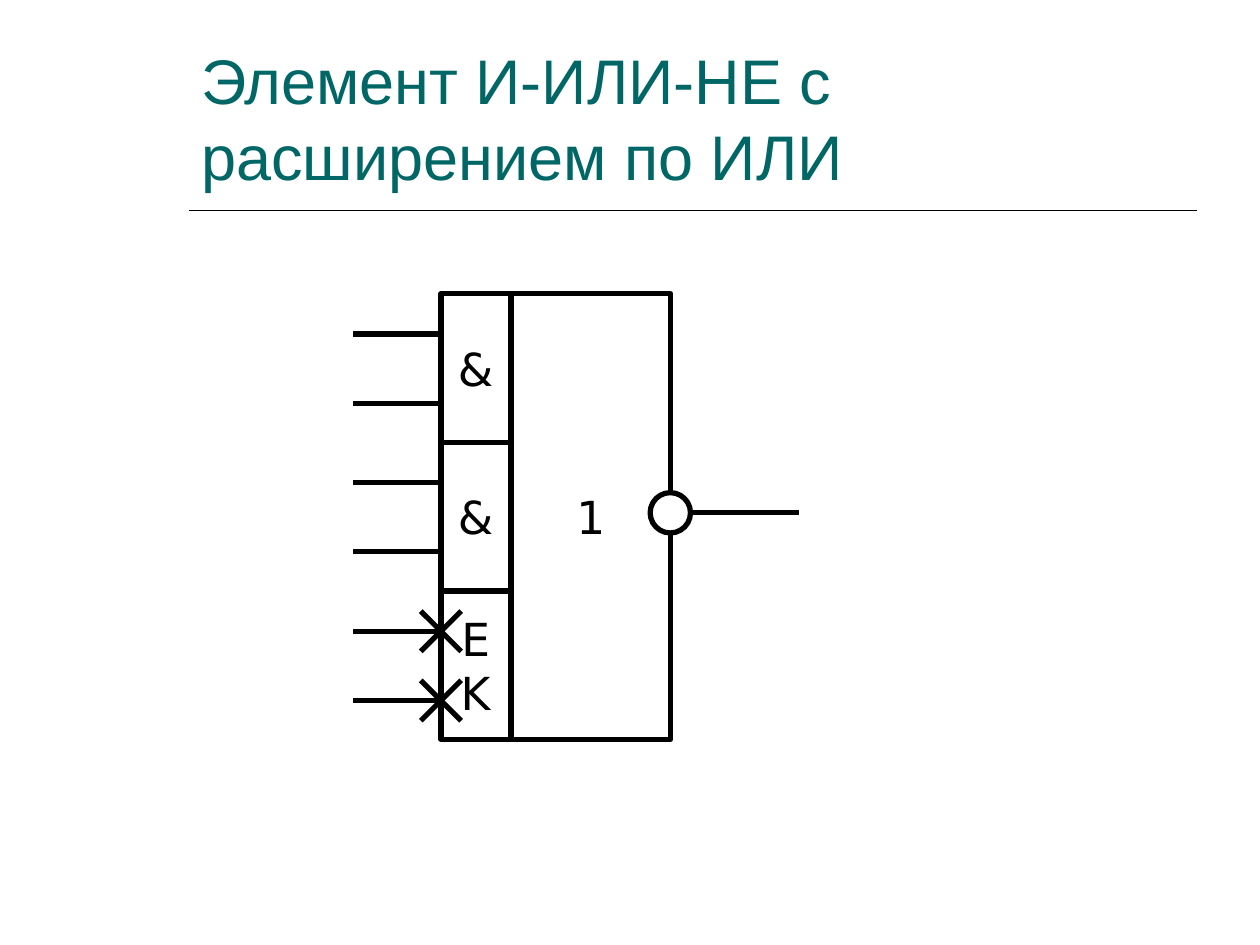
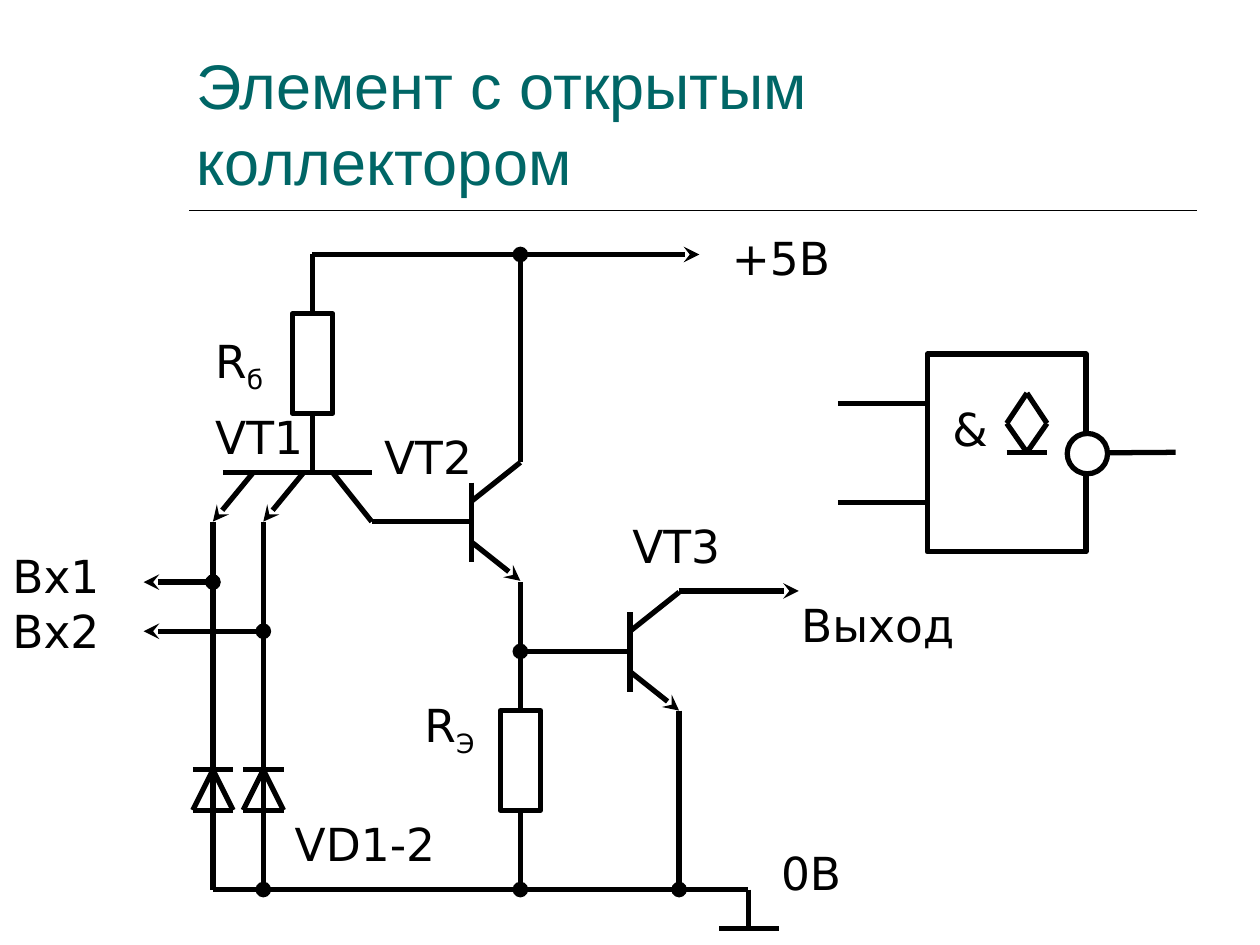
from lxml import etree
from pptx import Presentation
from pptx.dml.color import RGBColor
from pptx.enum import shapes, text
from pptx.oxml import ns
from pptx.util import Inches, Pt

TEAL = RGBColor(0x00, 0x66, 0x66)
BLACK = RGBColor(0x00, 0x00, 0x00)
WHITE = RGBColor(0xFF, 0xFF, 0xFF)
TITLE_FONT = "Arial"
LABEL_FONT = "DejaVu Sans"
LABEL_SIZE = 26
RECT = shapes.MSO_SHAPE.RECTANGLE
OVAL = shapes.MSO_SHAPE.OVAL
CENTER = text.PP_ALIGN.CENTER
TOP, LEFT, BOTTOM, RIGHT = range(4)


def add_run(paragraph, words, font=LABEL_FONT, size=LABEL_SIZE, color=BLACK):
    run = paragraph.add_run()
    run.text = words
    run.font.name = font
    run.font.size = Pt(size)
    run.font.color.rgb = color
    return run


def wire(slide, start, end, head=None, tail=None, width=3):
    """Draw a line; each end is an (x, y) point or a (shape, side) joint."""
    points = [p if isinstance(p[0], (int, float)) else (0, 0) for p in (start, end)]
    line = slide.shapes.add_connector(
        shapes.MSO_CONNECTOR.STRAIGHT, *(Inches(v) for p in points for v in p))
    for joint, connect in ((start, line.begin_connect), (end, line.end_connect)):
        if not isinstance(joint[0], (int, float)):
            connect(*joint)
    line.line.color.rgb = BLACK
    line.line.width = Pt(width)
    outline = line.line._get_or_add_ln()
    for tag, kind in (("a:headEnd", head), ("a:tailEnd", tail)):
        if kind:
            etree.SubElement(outline, ns.qn(tag)).set("type", kind)
    etree.SubElement(line._element.spPr, ns.qn("a:effectLst"))
    return line


def block(slide, x, y, width, height, lines=(), kind=RECT):
    shape = slide.shapes.add_shape(
        kind, Inches(x), Inches(y), Inches(width), Inches(height))
    shape.shadow.inherit = False
    shape.fill.solid()
    shape.fill.fore_color.rgb = WHITE
    shape.line.color.rgb = BLACK
    shape.line.width = Pt(3)
    frame = shape.text_frame
    frame.word_wrap = False
    frame.vertical_anchor = text.MSO_ANCHOR.MIDDLE
    for i, words in enumerate(lines):
        paragraph = frame.add_paragraph() if i else frame.paragraphs[0]
        paragraph.alignment = CENTER
        add_run(paragraph, words)
    return shape


def inverter(slide, x, y):
    """Draw the inversion circle around a point."""
    block(slide, x - 0.16, y - 0.16, 0.32, 0.32, kind=OVAL)


def label(slide, x, y, width, *lines, height=0.54, subscript=None):
    box = slide.shapes.add_textbox(Inches(x), Inches(y), Inches(width), Inches(height))
    frame = box.text_frame
    frame.word_wrap = True
    for i, words in enumerate(lines):
        paragraph = frame.add_paragraph() if i else frame.paragraphs[0]
        add_run(paragraph, words)
    if subscript:
        run = add_run(frame.paragraphs[0], subscript)
        run.font._element.set("baseline", "-25000")


def titled_slide(deck, title, x, height):
    slide = deck.slides.add_slide(deck.slide_layouts[6])
    wire(slide, (1.5, 1.67), (9.5, 1.67), width=1)
    box = slide.shapes.add_textbox(Inches(x), Inches(0.05), Inches(8), Inches(height))
    box.text_frame.word_wrap = True
    box.text_frame.vertical_anchor = text.MSO_ANCHOR.BOTTOM
    add_run(box.text_frame.paragraphs[0], title, TITLE_FONT, 36, TEAL)
    return slide


def cross(slide, x, y):
    """Mark an expansion input."""
    for rise in (0.16, -0.16):
        wire(slide, (x - 0.16, y + rise), (x + 0.16, y - rise))


def transistor(slide, x, y):
    """Draw an n-p-n transistor whose base meets its bar at (x, y)."""
    wire(slide, (x, y - 0.31), (x, y + 0.32))
    wire(slide, (x + 0.39, y + 0.47), (x, y + 0.16), head="stealth")
    wire(slide, (x, y - 0.16), (x + 0.39, y - 0.47))


def polyline(slide, *points):
    for start, end in zip(points, points[1:]):
        wire(slide, start, end)


def diode(slide, x):
    cathode, anode = 6.11, 6.43
    wire(slide, (x - 0.16, cathode), (x + 0.16, cathode))
    polyline(slide, (x, cathode), (x + 0.16, anode), (x - 0.16, anode), (x, cathode))


def expandable_gate(slide):
    left, top, cell_width, cell_height = 3.5, 2.33, 0.55, 1.18
    block(slide, 4.06, top, 1.26, 3 * cell_height, ["1"])
    wire(slide, (5.32, 4.07), (6.34, 4.07))
    inverter(slide, 5.32, 4.07)
    for row, lines in enumerate((["&"], ["&"], ["E", "K"])):
        y = top + row * cell_height
        block(slide, left, y, cell_width, cell_height, lines)
        for input_y in (y + 0.32, y + 0.87):
            wire(slide, (left - 0.7, input_y), (left, input_y))
            if lines == ["E", "K"]:
                cross(slide, left, input_y)


def input_stage(slide, supply_y, ground_y):
    """Draw VT1 with its base resistor, inputs and clamping diodes."""
    base_x, bar_y, emitter_y = 2.48, 3.75, 4.14
    resistor = block(slide, 2.32, 2.49, 0.32, 0.79)
    wire(slide, (base_x, supply_y), (resistor, TOP))
    wire(slide, (resistor, BOTTOM), (base_x, bar_y))
    wire(slide, (1.77, bar_y), (2.95, bar_y))
    polyline(slide, (2.64, bar_y), (2.95, emitter_y), (3.74, emitter_y))
    for x, input_y, ground_dot in ((1.69, 4.62, None), (2.09, 5.01, "oval")):
        wire(slide, (x, emitter_y), (x + 0.32, bar_y), head="stealth")
        wire(slide, (x, emitter_y), (x, input_y))
        wire(slide, (x, input_y), (1.14, input_y), tail="stealth")
        wire(slide, (x, ground_y), (x, input_y), head=ground_dot, tail="oval")
        diode(slide, x)


def output_stage(slide, supply_y, ground_y):
    """Draw VT2, its emitter resistor and the open-collector VT3."""
    vt2_x, vt3_x = 4.13, 5.39
    transistor(slide, 3.74, 4.14)
    transistor(slide, 5, 5.17)
    wire(slide, (vt2_x, 3.67), (vt2_x, supply_y), tail="oval")
    resistor = block(slide, 3.97, 5.64, 0.32, 0.79)
    wire(slide, (vt2_x, 4.62), (resistor, TOP))
    wire(slide, (resistor, BOTTOM), (vt2_x, ground_y), tail="oval")
    wire(slide, (5, 5.17), (vt2_x, 5.17), tail="oval")
    wire(slide, (6.34, 4.69), (vt3_x, 4.69), head="stealth")
    wire(slide, (vt3_x, 5.64), (vt3_x, ground_y), tail="oval")


def open_collector_symbol(slide):
    gate = block(slide, 7.36, 2.81, 1.26, 1.57, ["&"])
    frame = gate.text_frame
    frame.vertical_anchor = text.MSO_ANCHOR.TOP
    frame.margin_left, frame.margin_top = Inches(0.2), Inches(0.37)
    frame.paragraphs[0].alignment = text.PP_ALIGN.LEFT
    wire(slide, (gate, RIGHT), (9.33, 3.59))
    inverter(slide, 8.63, 3.6)
    for input_y in (3.2, 3.99):
        wire(slide, (6.65, input_y), (7.36, input_y))
    polyline(slide, (8.15, 3.12), (8.31, 3.36), (8.15, 3.59), (7.99, 3.36), (8.15, 3.12))
    wire(slide, (7.99, 3.59), (8.31, 3.59))


def open_collector_circuit(slide):
    supply_y, ground_y = 2.02, 7.06
    wire(slide, (5.55, supply_y), (2.48, supply_y), head="stealth")
    polyline(slide, (1.69, ground_y), (5.94, ground_y), (5.94, 7.37))
    wire(slide, (5.71, 7.37), (6.18, 7.37))
    input_stage(slide, supply_y, ground_y)
    output_stage(slide, supply_y, ground_y)
    label(slide, 0, 4.3, 1.02, "Вх1", "Вх2", height=0.97)
    for x, y, width, words in (
            (5.71, 1.78, 1.02, "+5В"), (1.61, 3.2, 1.02, "VT1"),
            (2.95, 3.36, 1.02, "VT2"), (4.92, 4.06, 1.02, "VT3"),
            (2.24, 6.43, 1.81, "VD1-2"), (6.26, 4.69, 1.46, "Выход"),
            (6.1, 6.66, 1.02, "0В")):
        label(slide, x, y, width, words)
    for x, y, index in ((1.61, 2.59, "б"), (3.27, 5.48, "Э")):
        label(slide, x, y, 0.71, "R", height=0.6, subscript=index)


def main():
    deck = Presentation()
    deck.slide_width, deck.slide_height = Inches(10), Inches(7.5)
    expandable_gate(titled_slide(deck, "Элемент И-ИЛИ-НЕ с расширением по ИЛИ", 1.5, 1.53))
    slide = titled_slide(deck, "Элемент с открытым коллектором", 1.46, 1.57)
    open_collector_circuit(slide)
    open_collector_symbol(slide)
    deck.save("out.pptx")


if __name__ == "__main__":
    main()
